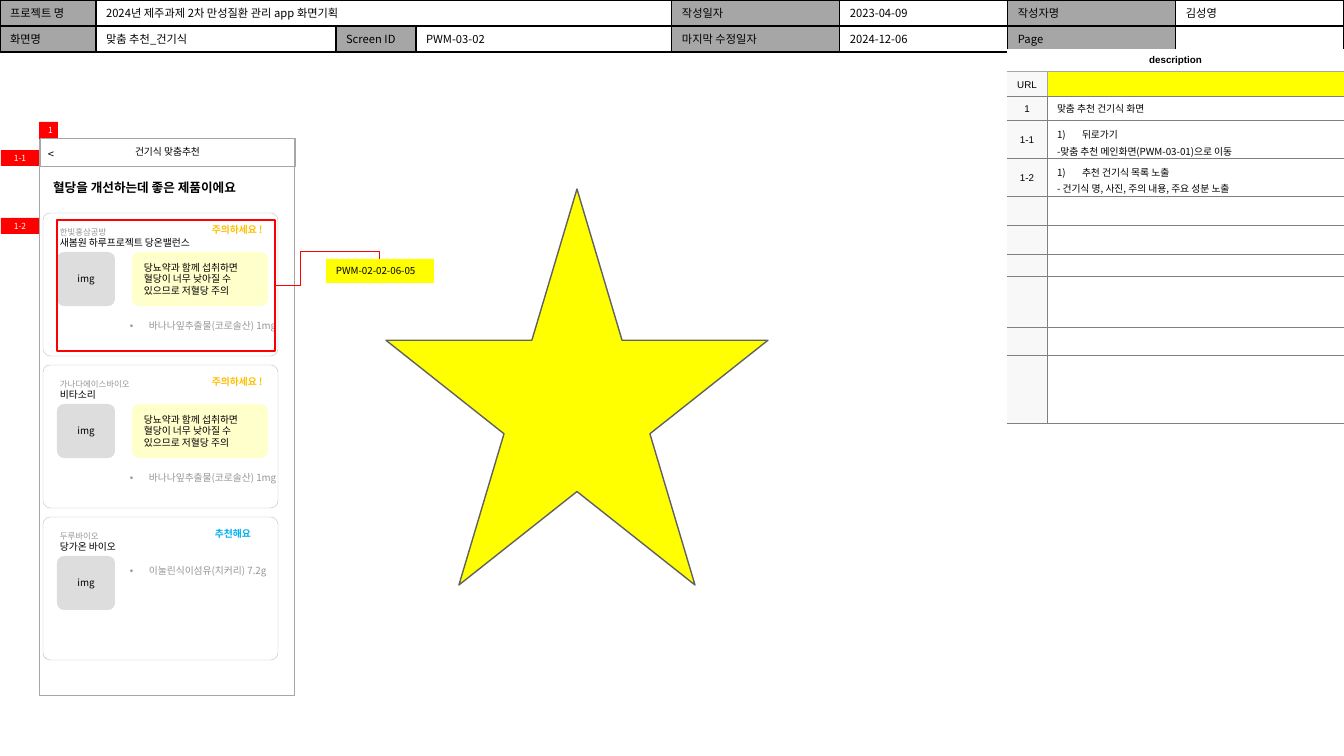
from lxml.etree import SubElement, Element
from pptx import Presentation
from pptx.dml.color import RGBColor
from pptx.enum.shapes import MSO_CONNECTOR, MSO_SHAPE
from pptx.enum.text import MSO_ANCHOR, MSO_AUTO_SIZE, PP_ALIGN
from pptx.oxml.ns import qn
from pptx.util import Pt


class Theme:
    sans, arial = "Noto Sans CJK KR", "Arial"
    black, white, grey = "000000", "FFFFFF", "969696"
    head, rule, edge = "A6A6A6", "808080", "BABABA"
    red, yellow, cream = "FF0000", "FFFF00", "FFFFCC"
    thumb, pale, star = "DDDDDD", "F8F8F8", "616161"
    amber, blue = "FFC000", "00B0F0"
    tiny, small, text, title = 6, 7, 8, 9


PX = 914400 / 100.8
LEFT, MID, JUST = PP_ALIGN.LEFT, PP_ALIGN.CENTER, PP_ALIGN.JUSTIFY
RECT, ROUND = MSO_SHAPE.RECTANGLE, MSO_SHAPE.ROUNDED_RECTANGLE


def write(frame, lines, size=Theme.small, color=Theme.black, align=LEFT,
          bold=False, font=Theme.sans, mark=None, hang=0, space=None):
    for i, line in enumerate(lines):
        para = frame.paragraphs[0] if i == 0 else frame.add_paragraph()
        if line:
            para.text = line
        else:
            SubElement(para._p, qn("a:endParaRPr"), sz=str(size * 100))
        para.alignment = align
        if space:
            para.line_spacing = space
        if mark and i == 0:
            prop = para._p.get_or_add_pPr()
            prop.set("marL", str(round(hang * PX)))
            prop.set("indent", str(round(-hang * PX)))
            if mark == "1)":
                SubElement(prop, qn("a:buFont"), typeface="+mj-lt")
                SubElement(prop, qn("a:buAutoNum"), type="arabicParenR")
            else:
                SubElement(prop, qn("a:buFont"), typeface=Theme.arial)
                SubElement(prop, qn("a:buChar"), char=mark)
        para.font.size = Pt(size)
        para.font.bold = bold
        para.font.color.rgb = RGBColor.from_string(color)
        para.font.name = font
        SubElement(para._p.pPr.find(qn("a:defRPr")), qn("a:ea"), typeface=font)


def put(kind, x, y, w, h, lines=(), fill=None, line=None, width=0.25, adj=None, **style):
    box = [round(v * PX) for v in (x, y, w, h)]
    if kind is None:
        shape = slide.shapes.add_textbox(*box)
    else:
        shape = slide.shapes.add_shape(kind, *box)
        shape.shadow.inherit = False
        if adj:
            shape.adjustments[0] = adj
        if fill:
            shape.fill.solid()
            shape.fill.fore_color.rgb = RGBColor.from_string(fill)
        else:
            shape.fill.background()
        if line:
            shape.line.color.rgb = RGBColor.from_string(line)
            shape.line.width = Pt(width)
        else:
            shape.line.fill.background()
        shape.text_frame.vertical_anchor = MSO_ANCHOR.MIDDLE
    shape.text_frame.word_wrap = True
    write(shape.text_frame, lines, **style)
    return shape


deck = Presentation()
deck.slide_width, deck.slide_height = round(1344 * PX), round(756 * PX)
slide = deck.slides.add_slide(deck.slide_layouts[5])

title = slide.shapes.title
title.left, title.top, title.width, title.height = [round(v * PX) for v in (43, 175, 252, 25)]
title.text_frame.word_wrap = True
title.text_frame.auto_size = MSO_AUTO_SIZE.NONE
title.text_frame.vertical_anchor = MSO_ANCHOR.TOP
write(title.text_frame, ["혈당을 개선하는데 좋은 제품이에요"], size=Theme.title, bold=True)

info = [
    ["프로젝트 명", "2024년 제주과제 2차 만성질환 관리 app 화면기획", "", "",
     "작성일자", "2023-04-09", "작성자명", "김성영"],
    ["화면명", "맞춤 추천_건기식", "Screen ID", "PWM-03-02",
     "마지막 수정일자", "2024-12-06", "Page", ""],
]
notes = [
    ("description", [""], 22), ("URL", [""], 25),
    ("1", ["맞춤 추천 건기식 화면"], 24),
    ("1-1", ["뒤로가기", "-맞춤 추천 메인화면(PWM-03-01)으로 이동"], 38),
    ("1-2", ["추천 건기식 목록 노출", "- 건기식 명, 사진, 주의 내용, 주요 성분 노출"], 38),
] + [("", [""], high) for high in (29, 29, 22, 51, 28, 68)]
grids = []
for x, y, wides, highs in [
    (0, 0, [96, 240, 80, 256, 168, 168, 168, 168], [26, 26]),
    (1007, 49, [40, 297], [note[2] for note in notes]),
]:
    box = [round(v * PX) for v in (x, y, sum(wides), sum(highs))]
    frame = slide.shapes.add_table(len(highs), len(wides), *box)
    next(frame._element.iter(qn("a:tableStyleId"))).text = "{2D5ABB26-0587-4C30-8999-92F81FD0307C}"
    grid = frame.table
    grid.first_row = grid.horz_banding = False
    for col, wide in zip(grid.columns, wides):
        col.width = round(wide * PX)
    for row, high in zip(grid.rows, highs):
        row.height = round(high * PX)
    for cell in grid.iter_cells():
        cell.vertical_anchor = MSO_ANCHOR.MIDDLE
        cell.margin_top = cell.margin_bottom = round(4 * PX)
    grids.append(grid)
top, desc = grids
top.cell(0, 1).merge(top.cell(0, 3))
desc.cell(0, 0).merge(desc.cell(0, 1))

edges = []
for r, row in enumerate(info):
    for c, word in enumerate(row):
        cell = top.cell(r, c)
        write(cell.text_frame, [word], size=Theme.text)
        label = c in (0, 4, 6) or (r, c) == (1, 2)
        edges.append((cell, "LRTB", Theme.black, 1, Theme.head if label else None))

for r, (key, lines, high) in enumerate(notes):
    name, body = desc.cell(r, 0), desc.cell(r, 1)
    write(name.text_frame, [key], align=MID, font=Theme.arial, bold=r == 0,
          space=1.2 if r else None)
    pair = len(lines) > 1
    write(body.text_frame, lines, align=JUST if pair else LEFT,
          mark="1)" if pair else None, hang=25, space=1.2 if pair else None)
    if pair:
        body.margin_bottom = 0
    tone = Theme.head if r < 2 else Theme.rule
    over = "T" if r else ""
    edges.append((name, ("R" if r else "") + over + "B", tone, 0.25, Theme.pale if r else Theme.white))
    edges.append((body, ("L" if r else "") + over + "B", tone, 0.25, Theme.yellow if r == 1 else None))

for cell, sides, tone, width, fill in edges:
    prop = cell._tc.get_or_add_tcPr()
    for i, side in enumerate(sides):
        line = Element(qn("a:ln" + side), w=str(Pt(width)))
        SubElement(SubElement(line, qn("a:solidFill")), qn("a:srgbClr"), val=tone)
        prop.insert(i, line)
    if fill:
        cell.fill.solid()
        cell.fill.fore_color.rgb = RGBColor.from_string(fill)
    else:
        cell.fill.background()

put(RECT, 39, 138, 255, 557, line=Theme.head)
for word, x, y, w, h in [("1", 39, 122, 19, 17), ("1-1", 1, 150, 38, 16), ("1-2", 1, 218, 38, 16)]:
    put(RECT, x, y, w, h, [word], fill=Theme.red, size=Theme.tiny, color=Theme.white, align=MID)
put(RECT, 40, 138, 255, 28, ["건기식 맞춤추천"], line=Theme.head, align=MID)
put(None, 38, 142, 23, 24, ["<"], size=Theme.text, align=MID)

warn = ("주의하세요 !", Theme.amber, 202)
good = ("추천해요", Theme.blue, 205)
leaf = "바나나잎추출물(코로솔산) 1mg"
cards = [
    ("한빛홍삼공방", "새봄원 하루프로젝트 당온밸런스", warn, leaf, 102),
    ("가나다에이스바이오", "비타소리", warn, leaf, 102),
    ("두루바이오", "당가온 바이오", good, "이눌린식이섬유(치커리) 7.2g", 43),
]
for i, (maker, item, (tag, tone, x), part, drop) in enumerate(cards):
    y = 213 + 152 * i
    put(None, x, y + 6, 86, 22, [tag], color=tone, bold=True)
    put(ROUND, 57, y + 39, 58, 54, ["img"], fill=Theme.thumb, adj=0.13, align=MID)
    names = put(None, 50, y + 9, 171, 32, [maker, item])
    first = names.text_frame.paragraphs[0].font
    first.size = Pt(Theme.tiny)
    first.color.rgb = RGBColor.from_string(Theme.grey)
    put(ROUND, 43, y, 235, 143, line=Theme.edge, adj=0.05)
    if tag == warn[0]:
        put(ROUND, 132, y + 39, 136, 54, ["당뇨약과 함께 섭취하면 혈당이 너무 낮아질 수 있으므로 저혈당 주의"],
            fill=Theme.cream, adj=0.13)
    put(None, 120, y + drop, 171, 34, [part], color=Theme.grey, mark="•", hang=19)

put(RECT, 57, 220, 218, 131, line=Theme.red, width=1)
put(RECT, 326, 259, 108, 24, ["PWM-02-02-06-05"], fill=Theme.yellow)
link = slide.shapes.add_connector(MSO_CONNECTOR.ELBOW, *[round(v * PX) for v in (275, 285, 379, 259)])
link.line.color.rgb = RGBColor.from_string(Theme.red)
link.line.width = Pt(0.5)
SubElement(link._element.spPr, qn("a:effectLst"))
bend = link._element.spPr.find(qn("a:prstGeom"))
bend.set("prst", "bentConnector4")
for old in list(bend):
    bend.remove(old)
turns = SubElement(bend, qn("a:avLst"))
for name, value in [("adj1", 24200), ("adj2", 131000)]:
    SubElement(turns, qn("a:gd"), name=name, fmla=f"val {value}")

put(MSO_SHAPE.STAR_5_POINT, 386, 189, 382, 396, fill=Theme.yellow, line=Theme.star, width=1)

deck.save("out.pptx")
